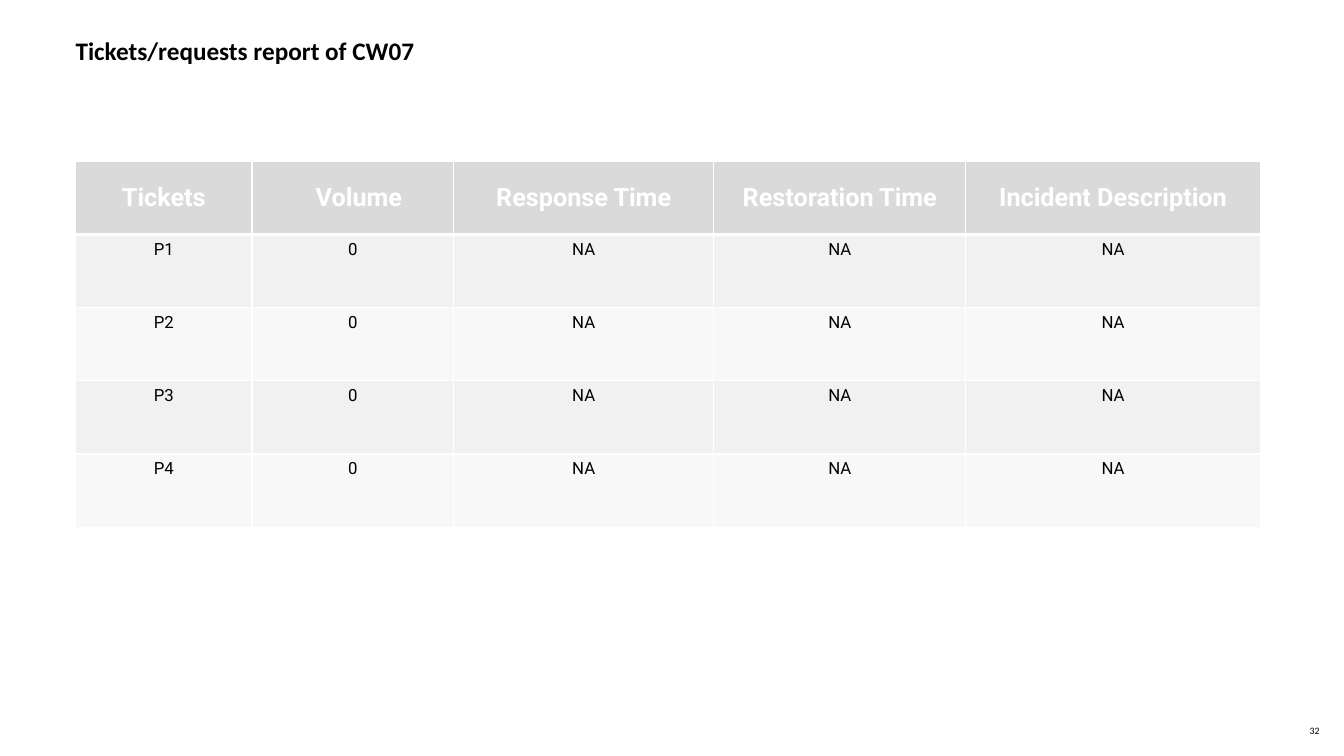
from lxml.etree import SubElement
from pptx import Presentation
from pptx.dml.color import RGBColor
from pptx.enum.text import MSO_ANCHOR as Anchor, PP_ALIGN as Align
from pptx.oxml.ns import qn
from pptx.util import Inches, Pt

BLACK = RGBColor(0x00, 0x00, 0x00)
WHITE = RGBColor(0xFF, 0xFF, 0xFF)
HEADER_GREY = RGBColor(0xDA, 0xDA, 0xDA)
BAND_DARK = RGBColor(0xF1, 0xF1, 0xF1)
BAND_LIGHT = RGBColor(0xF8, 0xF8, 0xF8)

HEADERS = ["Tickets", "Volume", "Response Time", "Restoration Time", "Incident Description"]
PRIORITIES = ["P1", "P2", "P3", "P4"]
COLUMN_WIDTHS = [1.75, 2, 2.58, 2.5, 2.92]


def add_run(p, text, size, font, color, bold=False):
    """Add one formatted run to a paragraph."""
    r = p.add_run()
    r.text = text
    r.font.size = Pt(size)
    r.font.name = font
    r.font.color.rgb = color
    r.font.bold = bold


def add_text(s, box, text, size, bold=False, anchor=Anchor.TOP, spacing=1.0):
    """Add a text box without insets."""
    tf = s.shapes.add_textbox(*map(Inches, box)).text_frame
    tf.word_wrap = True
    tf.margin_left = tf.margin_right = tf.margin_top = tf.margin_bottom = 0
    tf.vertical_anchor = anchor
    p = tf.paragraphs[0]
    p.line_spacing = spacing
    add_run(p, text, size, "Calibri", BLACK, bold)


def set_borders(cell, top, bottom):
    """Draw white borders around a cell, one point wide at the sides."""
    tc_pr = cell._tc.get_or_add_tcPr()
    for side, width in zip("LRTB", (1, 1, top, bottom)):
        ln = SubElement(tc_pr, qn(f"a:ln{side}"), w=str(Pt(width)))
        fill = SubElement(ln, qn("a:solidFill"))
        SubElement(fill, qn("a:srgbClr"), val=str(WHITE))


def fill_cell(cell, text, row):
    """Write and style one table cell according to its row."""
    is_header = row == 0
    set_borders(cell, top=3 if row == 1 else 1, bottom=3 if is_header else 1)
    cell.fill.solid()
    p = cell.text_frame.paragraphs[0]
    p.alignment = Align.CENTER
    if is_header:
        cell.fill.fore_color.rgb = HEADER_GREY
        cell.vertical_anchor = Anchor.MIDDLE
        add_run(p, text, 18, "Roboto", WHITE, bold=True)
    else:
        cell.fill.fore_color.rgb = BAND_DARK if row % 2 else BAND_LIGHT
        add_run(p, text, 12, "Roboto", BLACK)


def add_ticket_table(s, rows):
    """Add the ticket table with a header row and banded body rows."""
    table = s.shapes.add_table(
        len(rows), len(COLUMN_WIDTHS),
        Inches(0.75), Inches(1.6), Inches(sum(COLUMN_WIDTHS)), Inches(3.63),
    ).table
    for column, width in zip(table.columns, COLUMN_WIDTHS):
        column.width = Inches(width)
    for i, row in enumerate(rows):
        for j, text in enumerate(row):
            fill_cell(table.cell(i, j), text, i)
    table.cell(0, HEADERS.index("Volume")).margin_left = Inches(0.22)


def main():
    """Build the ticket report slide."""
    prs = Presentation()
    prs.slide_width, prs.slide_height = Inches(13.33), Inches(7.5)
    s = prs.slides.add_slide(prs.slide_layouts[6])
    add_text(s, (12.99, 7.16, 0.35, 0.17), "32", 7, anchor=Anchor.MIDDLE)
    add_text(s, (0.75, 0.32, 12.4, 0.67), "Tickets/requests report of CW07", 18, bold=True, spacing=1.1)
    add_ticket_table(s, [HEADERS] + [[priority, "0", "NA", "NA", "NA"] for priority in PRIORITIES])
    prs.save("out.pptx")


if __name__ == "__main__":
    main()
